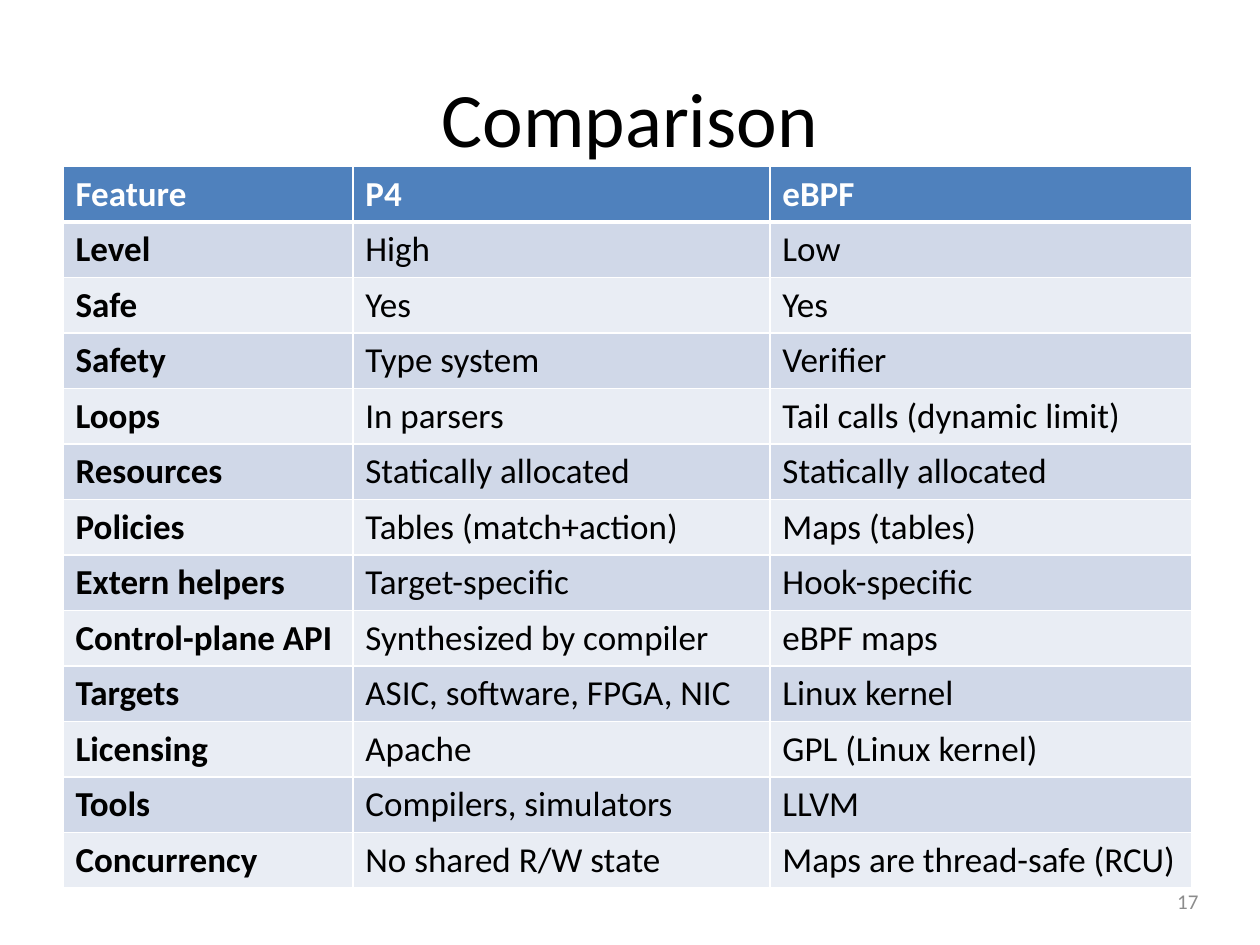
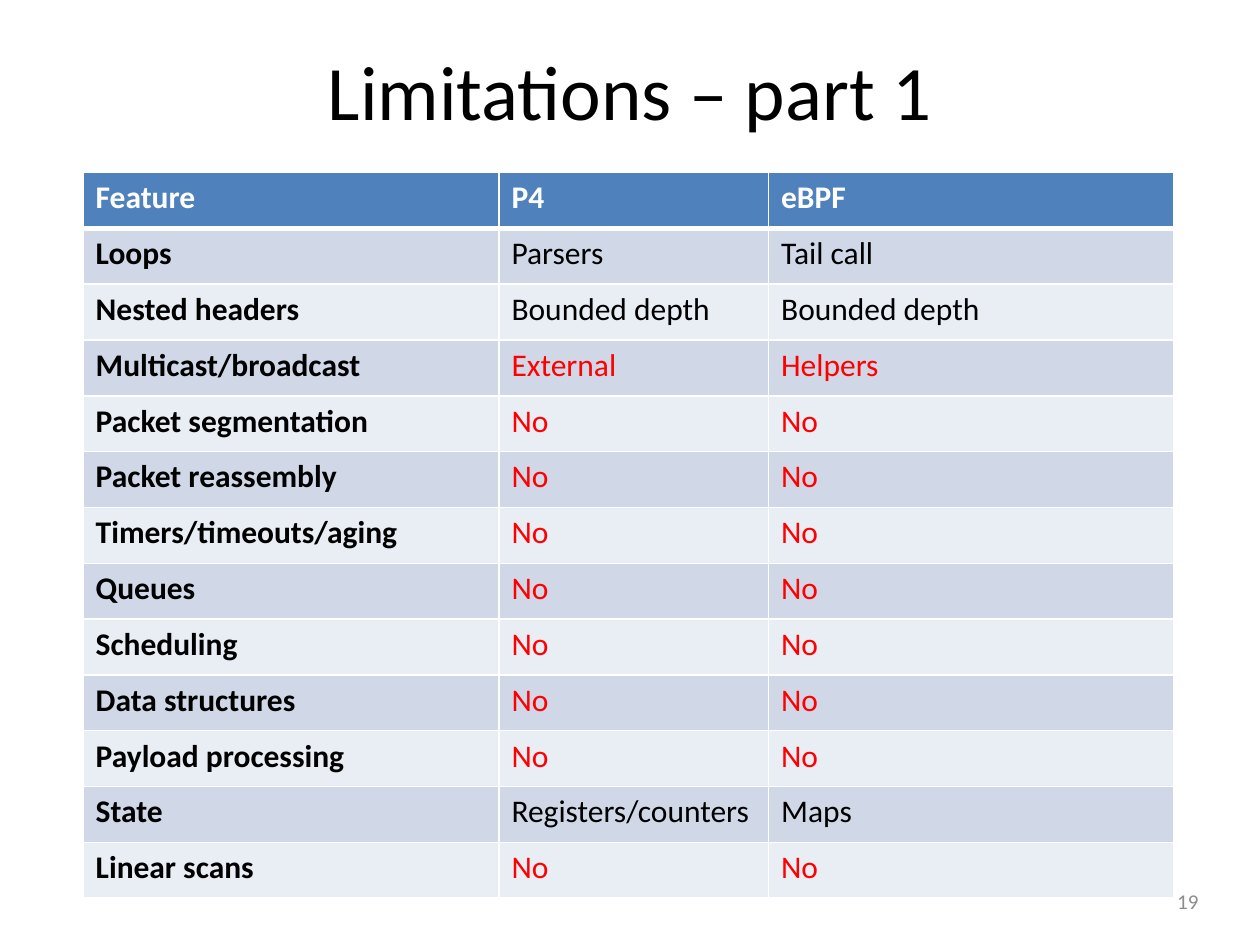
"""Build two slides that compare P4 and eBPF in tables."""
from dataclasses import dataclass

from lxml.etree import SubElement as Sub
from pptx import Presentation
from pptx.dml.color import RGBColor as Color
from pptx.enum.text import MSO_ANCHOR as Anchor, PP_ALIGN as Align
from pptx.oxml.ns import qn
from pptx.util import Inches, Pt

FONT = "Calibri"
BLACK = Color(0x00, 0x00, 0x00)
WHITE = Color(0xFF, 0xFF, 0xFF)
RED = Color(0xFF, 0x00, 0x00)
GREY = Color(0x8C, 0x8C, 0x8C)
BLUE = Color(0x4F, 0x81, 0xBD)
BANDS = (Color(0xE9, 0xED, 0xF4), Color(0xD0, 0xD8, 0xE8))
GAPS = {"No", "External", "Helpers"}
HEAD = ("Feature", "P4", "eBPF")


@dataclass(frozen=True)
class Page:
    title: str
    top: float
    tall: float
    number: int
    left: float
    upper: float
    height: float
    widths: tuple[float, ...]
    size: int
    rows: tuple[tuple[str, str, str], ...]


PAGES = (
    Page("Comparison", 0.3, 1.25, 17, 0.5, 1.32, 5.72, (2.3, 3.31, 3.35), 20, (
        ("Level", "High", "Low"),
        ("Safe", "Yes", "Yes"),
        ("Safety", "Type system", "Verifier"),
        ("Loops", "In parsers", "Tail calls (dynamic limit)"),
        ("Resources", "Statically allocated", "Statically allocated"),
        ("Policies", "Tables (match+action)", "Maps (tables)"),
        ("Extern helpers", "Target-specific", "Hook-specific"),
        ("Control-plane API", "Synthesized by compiler", "eBPF maps"),
        ("Targets", "ASIC, software, FPGA, NIC", "Linux kernel"),
        ("Licensing", "Apache", "GPL (Linux kernel)"),
        ("Tools", "Compilers, simulators", "LLVM"),
        ("Concurrency", "No shared R/W state", "Maps are thread-safe (RCU)"),
    )),
    Page("Limitations – part 1", 0.27, 0.89, 19, 0.66, 1.37, 5.76, (3.3, 2.14, 3.22), 18, (
        ("Loops", "Parsers", "Tail call"),
        ("Nested headers", "Bounded depth", "Bounded depth"),
        ("Multicast/broadcast", "External", "Helpers"),
        ("Packet segmentation", "No", "No"),
        ("Packet reassembly", "No", "No"),
        ("Timers/timeouts/aging", "No", "No"),
        ("Queues", "No", "No"),
        ("Scheduling", "No", "No"),
        ("Data structures", "No", "No"),
        ("Payload processing", "No", "No"),
        ("State", "Registers/counters", "Maps"),
        ("Linear scans", "No", "No"),
    )),
)


def write(frame, text: str, size: int, color: Color, align=Align.LEFT, bold=False) -> None:
    frame.text = text
    par = frame.paragraphs[0]
    par.alignment = align
    font = par.font
    font.name, font.size, font.bold = FONT, Pt(size), bold
    font.color.rgb = color


def edge(cell, row: int) -> None:
    props = cell._tc.get_or_add_tcPr()
    for side in "LRTB":
        thick = (side == "B" and row == 0) or (side == "T" and row == 1)
        line = Sub(props, qn(f"a:ln{side}"), w=str(Pt(3 if thick else 1)))
        Sub(Sub(line, qn("a:solidFill")), qn("a:srgbClr"), val=str(WHITE))


def add_grid(slide, page: Page) -> None:
    rows = (HEAD, *page.rows)
    table = slide.shapes.add_table(
        len(rows), len(HEAD), Inches(page.left), Inches(page.upper),
        Inches(sum(page.widths)), Inches(page.height)).table
    for col, width in zip(table.columns, page.widths):
        col.width = Inches(width)
    for r, texts in enumerate(rows):
        table.rows[r].height = Inches(page.height / len(rows))
        for c, text in enumerate(texts):
            cell = table.cell(r, c)
            edge(cell, r)
            cell.fill.solid()
            cell.fill.fore_color.rgb = BANDS[r % 2] if r else BLUE
            color = WHITE if r == 0 else RED if text in GAPS else BLACK
            write(cell.text_frame, text, page.size, color, bold=r == 0 or c == 0)


def add_page(deck, page: Page) -> None:
    slide = deck.slides.add_slide(deck.slide_layouts[5])
    title = slide.shapes.title
    title.left, title.top = Inches(0.5), Inches(page.top)
    title.width, title.height = Inches(9), Inches(page.tall)
    write(title.text_frame, page.title, 44, BLACK, Align.CENTER)
    title.text_frame.vertical_anchor = Anchor.MIDDLE
    add_grid(slide, page)
    frame = slide.shapes.add_textbox(
        Inches(8.57), Inches(6.95), Inches(1.04), Inches(0.4)).text_frame
    frame.word_wrap = True
    frame.vertical_anchor = Anchor.MIDDLE
    write(frame, str(page.number), 12, GREY, Align.RIGHT)


def main() -> None:
    deck = Presentation()
    deck.slide_width, deck.slide_height = Inches(10), Inches(7.5)
    for page in PAGES:
        add_page(deck, page)
    deck.save("out.pptx")


if __name__ == "__main__":
    main()
